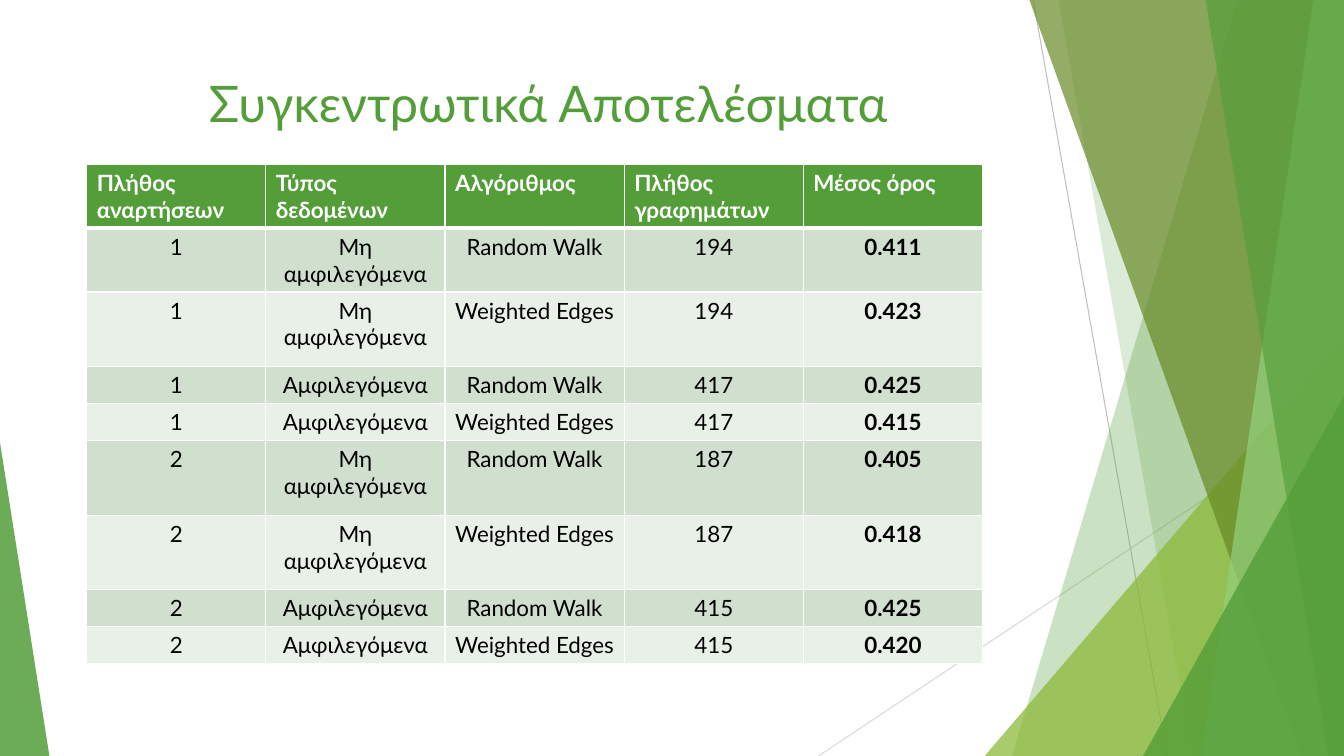
from dataclasses import dataclass

from lxml.etree import SubElement
from pptx import Presentation
from pptx.dml.color import RGBColor
from pptx.enum.shapes import MSO_CONNECTOR as Connector, MSO_SHAPE as Shape
from pptx.enum.text import MSO_ANCHOR as Anchor, PP_ALIGN as Align
from pptx.oxml import parse_xml
from pptx.oxml.ns import nsdecls, qn
from pptx.util import Pt


@dataclass(frozen=True)
class Theme:
    font: str = "Lato"
    title_size: int = 36
    table_size: int = 16
    green: str = "549E39"
    lime: str = "8AB833"
    olive: str = "678A26"
    mint: str = "93D07D"
    white: str = "FFFFFF"
    black: str = "000000"
    dark_band: str = "D1DFCE"
    light_band: str = "E9F0E8"
    long_line: str = "BFBFBF"
    short_line: str = "D9D9D9"


class SlideBuilder:
    """Draws styled elements on the current slide, with lengths in points."""

    def __init__(self, slide, theme, width, height):
        self.slide, self.theme = slide, theme
        self.width, self.height = width, height

    def line(self, start, end, color):
        connector = self.slide.shapes.add_connector(
            Connector.STRAIGHT, *(Pt(value) for value in (*start, *end)))
        connector.line.color.rgb = RGBColor.from_string(color)
        connector.line.width = Pt(0.75)
        SubElement(connector._element.spPr, qn("a:effectLst"))

    def paint(self, shape, color, opacity):
        shape.shadow.inherit = False
        shape.line.fill.background()
        shape.fill.solid()
        shape.fill.fore_color.rgb = RGBColor.from_string(color)
        color_element = shape._element.spPr.find(qn("a:solidFill"))[0]
        SubElement(color_element, qn("a:alpha"), val=str(opacity * 1000))

    def ribbon(self, top_left, bottom_left, color, opacity):
        top = -0.6
        builder = self.slide.shapes.build_freeform(Pt(top_left), Pt(top))
        corners = [(self.width, top), (self.width, self.height), (bottom_left, self.height)]
        builder.add_line_segments([(Pt(x), Pt(y)) for x, y in corners], close=True)
        self.paint(builder.convert_to_shape(), color, opacity)

    def corner(self, left, right, top, apex, color, opacity):
        triangle = self.slide.shapes.add_shape(
            Shape.ISOSCELES_TRIANGLE, Pt(left), Pt(top), Pt(right - left), Pt(self.height - top))
        triangle.adjustments[0] = apex
        self.paint(triangle, color, opacity)

    def text(self, frame, content, size, color, bold=False, align=Align.CENTER):
        frame.word_wrap = True
        paragraph = frame.paragraphs[0]
        paragraph.text = content
        paragraph.alignment = align
        font = paragraph.font
        font.name, font.size, font.bold = self.theme.font, Pt(size), bold
        font.color.rgb = RGBColor.from_string(color)

    def title(self, content, left, top, width, height):
        box = self.slide.shapes.add_textbox(Pt(left), Pt(top), Pt(width), Pt(height))
        box.text_frame.vertical_anchor = Anchor.TOP
        self.text(box.text_frame, content, self.theme.title_size, self.theme.green)

    def cell(self, cell, content, fill, borders, **style):
        cell.fill.solid()
        cell.fill.fore_color.rgb = RGBColor.from_string(fill)
        self.text(cell.text_frame, content, self.theme.table_size, **style)
        properties = cell._tc.get_or_add_tcPr()
        for index, (side, width) in enumerate(borders.items()):
            properties.insert(index, parse_xml(
                f'<a:ln{side} {nsdecls("a")} w="{Pt(width)}"><a:solidFill>'
                f'<a:srgbClr val="{self.theme.white}"/></a:solidFill></a:ln{side}>'))

    def table(self, rows, left, top, column_width, heights):
        theme = self.theme
        columns = len(rows[0])
        table = self.slide.shapes.add_table(
            len(rows), columns, Pt(left), Pt(top),
            Pt(column_width * columns), Pt(sum(heights))).table
        for column in table.columns:
            column.width = Pt(column_width)
        for r, (values, height) in enumerate(zip(rows, heights)):
            table.rows[r].height = Pt(height)
            header = r == 0
            band = theme.dark_band if r % 2 else theme.light_band
            borders = {"L": 1, "R": 1, "T": 3 if r == 1 else 1, "B": 3 if header else 1}
            for c, value in enumerate(values):
                self.cell(table.cell(r, c), value, theme.green if header else band, borders,
                          color=theme.white if header else theme.black,
                          bold=header or c == columns - 1,
                          align=Align.LEFT if header else Align.CENTER)


def main():
    width, height = 960, 540
    presentation = Presentation()
    presentation.slide_width, presentation.slide_height = Pt(width), Pt(height)
    theme = Theme()
    slide = presentation.slides.add_slide(presentation.slide_layouts[6])
    builder = SlideBuilder(slide, theme, width, height)

    builder.line((738, 0), (833.8, height), theme.long_line)
    builder.line((width, 290.2), (584.6, height), theme.short_line)
    builder.ribbon(884.2, 722.9, theme.green, 30)
    builder.ribbon(756, 851.8, theme.green, 20)
    builder.corner(703.4, width, 239.8, 1, theme.lime, 72)
    builder.ribbon(735.1, 929.5, theme.olive, 70)
    builder.ribbon(938.2, 858.2, theme.mint, 70)
    builder.ribbon(861.1, 949, theme.green, 65)
    builder.corner(816.5, width, 283, 1, theme.green, 80)
    builder.corner(0, 35.3, 316.1, 0, theme.green, 85)

    builder.title("Συγκεντρωτικά Αποτελέσματα", 53.3, 48.2, 676.8, 103.7)

    plain, disputed = "Μη αμφιλεγόμενα", "Αμφιλεγόμενα"
    walk, edges = "Random Walk", "Weighted Edges"
    rows = [
        ("Πλήθος αναρτήσεων", "Τύπος δεδομένων", "Αλγόριθμος", "Πλήθος γραφημάτων", "Μέσος όρος"),
        ("1", plain, walk, "194", "0.411"),
        ("1", plain, edges, "194", "0.423"),
        ("1", disputed, walk, "417", "0.425"),
        ("1", disputed, edges, "417", "0.415"),
        ("2", plain, walk, "187", "0.405"),
        ("2", plain, edges, "187", "0.418"),
        ("2", disputed, walk, "415", "0.425"),
        ("2", disputed, edges, "415", "0.420"),
    ]
    two_lines, tall, single = 45.4, 53.3, 26.4
    heights = [two_lines] * 2 + [tall] + [single] * 2 + [tall] * 2 + [single] * 2
    builder.table(rows, 61.9, 117.4, 128, heights)
    presentation.save("out.pptx")


if __name__ == "__main__":
    main()
